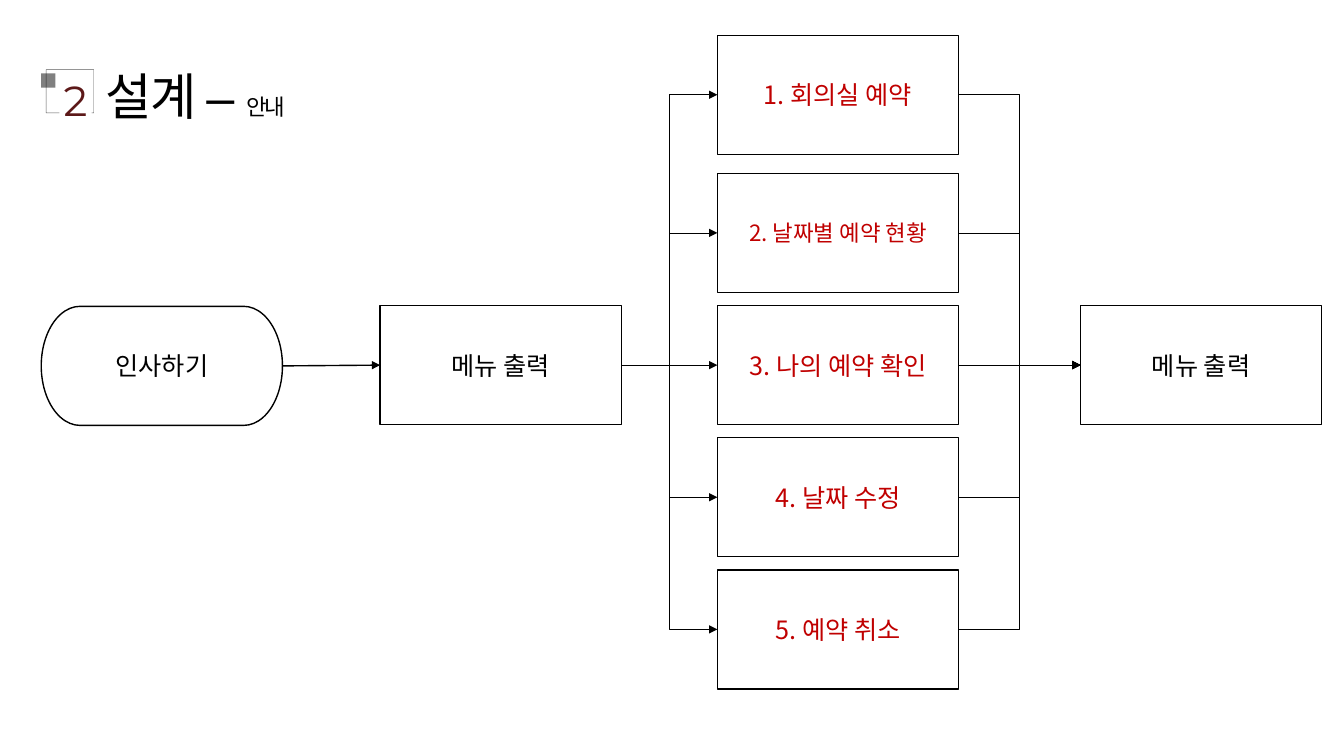
"""Build the reservation menu flow slide."""
import pptx
import pptx.dml.color
import pptx.enum.shapes
import pptx.enum.text
import pptx.oxml
import pptx.oxml.ns
import pptx.util
from lxml import etree

Cm = pptx.util.Cm
Pt = pptx.util.Pt
RGBColor = pptx.dml.color.RGBColor
SHAPE = pptx.enum.shapes.MSO_SHAPE
CONNECTOR = pptx.enum.shapes.MSO_CONNECTOR
ALIGN = pptx.enum.text.PP_ALIGN
ANCHOR = pptx.enum.text.MSO_ANCHOR
AUTO_SIZE = pptx.enum.text.MSO_AUTO_SIZE
qn = pptx.oxml.ns.qn

BLACK = RGBColor(0x00, 0x00, 0x00)
WHITE = RGBColor(0xFF, 0xFF, 0xFF)
GRAY = RGBColor(0x80, 0x80, 0x80)
RED = RGBColor(0xC0, 0x00, 0x00)
MAROON = RGBColor(0x5C, 0x18, 0x18)
KOREAN_FONT = "Noto Sans CJK KR"

SECTION_NUMBER = "2"
TITLE = [("설계 – ", 36), ("안내", 16)]
GREETING = "인사하기"
MENU = "메뉴 출력"
OPTIONS = [
    ("1. 회의실 예약", 18),
    ("2. 날짜별 예약 현황", 16),
    ("3. 나의 예약 확인", 18),
    ("4. 날짜 수정", 18),
    ("5. 예약 취소", 18),
]

BOX_WIDTH, BOX_HEIGHT = 6.08, 3.0
GREETING_LEFT, MENU_LEFT, OPTION_LEFT, RESULT_LEFT = 1.04, 9.58, 18.08, 27.23
FIRST_TOP, SECOND_TOP, ROW_STEP = 0.89, 4.37, 3.33
OPTION_TOPS = [FIRST_TOP] + [SECOND_TOP + ROW_STEP * row for row in range(4)]
MIDDLE_TOP = OPTION_TOPS[2]
GREETING_TOP = MIDDLE_TOP + 0.02


def write_text(shape, runs, font=KOREAN_FONT, color=BLACK, align=ALIGN.CENTER,
               anchor=ANCHOR.MIDDLE, side_inset=None, spacing=None):
    frame = shape.text_frame
    frame.vertical_anchor = anchor
    frame.word_wrap = side_inset is None
    if side_inset is not None:
        frame.auto_size = AUTO_SIZE.SHAPE_TO_FIT_TEXT
        frame.margin_left = frame.margin_right = Cm(side_inset)
        frame.margin_top = frame.margin_bottom = 0
    paragraph = frame.paragraphs[0]
    paragraph.alignment = align
    for text, size in runs:
        run = paragraph.add_run()
        run.text = text
        run.font.size = Pt(size)
        run.font.name = font
        run.font.color.rgb = color
        properties = run.font._element
        etree.SubElement(properties, qn("a:ea")).set("typeface", font)
        if spacing is not None:
            properties.set("spc", str(int(spacing * 100)))


def add_box(shapes, kind, left, top, width, height, fill=None, line_width=None):
    shape = shapes.add_shape(kind, Cm(left), Cm(top), Cm(width), Cm(height))
    shape.shadow.inherit = False
    if fill is None:
        shape.fill.background()
    else:
        shape.fill.solid()
        shape.fill.fore_color.rgb = fill
    if line_width is None:
        shape.line.fill.background()
    else:
        shape.line.color.rgb = BLACK
        shape.line.width = Pt(line_width)
    return shape


def add_step(shapes, kind, left, top, text, size=18, color=BLACK):
    shape = add_box(shapes, kind, left, top, BOX_WIDTH, BOX_HEIGHT, WHITE, 1)
    write_text(shape, [(text, size)], color=color)
    return shape


def add_arrow(shapes, start, end, kind=CONNECTOR.ELBOW, width=0.5):
    arrow = shapes.add_connector(kind, 0, 0, 0, 0)
    arrow.begin_connect(start, 3)
    arrow.end_connect(end, 1)
    arrow.line.color.rgb = BLACK
    arrow.line.width = Pt(width)
    etree.SubElement(arrow.line._get_or_add_ln(), qn("a:tailEnd")).set("type", "triangle")
    etree.SubElement(arrow._element.spPr, qn("a:effectLst"))


def add_heading(shapes):
    badge = shapes.add_group_shape().shapes
    square = add_box(badge, SHAPE.RECTANGLE, 1.04, 1.85, 0.36, 0.36, GRAY)
    outline = add_box(badge, SHAPE.RECTANGLE, 1.22, 1.7, 1.09, 1.2, line_width=0.3)
    square.rotation = outline.rotation = 270
    line_color = outline.line._get_or_add_ln().find(".//" + qn("a:srgbClr"))
    etree.SubElement(line_color, qn("a:alpha")).set("val", "64000")
    number = add_box(badge, SHAPE.RECTANGLE, 1.5, 1.88, 0.81, 1.27, WHITE)
    write_text(number, [(SECTION_NUMBER, 30)], font="Montserrat", color=MAROON,
               anchor=ANCHOR.TOP, side_inset=0.05)
    title = shapes.add_textbox(Cm(2.67), Cm(1.63), Cm(4.75), Cm(1.55))
    write_text(title, TITLE, font="Arial", align=ALIGN.LEFT,
               anchor=ANCHOR.TOP, side_inset=0, spacing=-1.5)


def main():
    presentation = pptx.Presentation()
    presentation.slide_width = Cm(33.87)
    presentation.slide_height = Cm(19.05)
    shapes = presentation.slides.add_slide(presentation.slide_layouts[6]).shapes

    menu = add_step(shapes, SHAPE.FLOWCHART_PROCESS, MENU_LEFT, MIDDLE_TOP, MENU)
    greeting = add_step(shapes, SHAPE.FLOWCHART_TERMINATOR, GREETING_LEFT, GREETING_TOP, GREETING)
    result = add_step(shapes, SHAPE.FLOWCHART_PROCESS, RESULT_LEFT, MIDDLE_TOP, MENU)
    add_arrow(shapes, greeting, menu, CONNECTOR.STRAIGHT, 1)
    for (text, size), top in zip(OPTIONS, OPTION_TOPS):
        option = add_step(shapes, SHAPE.RECTANGLE, OPTION_LEFT, top, text, size, RED)
        add_arrow(shapes, menu, option)
        add_arrow(shapes, option, result)
    add_heading(shapes)
    presentation.save("out.pptx")


if __name__ == "__main__":
    main()
